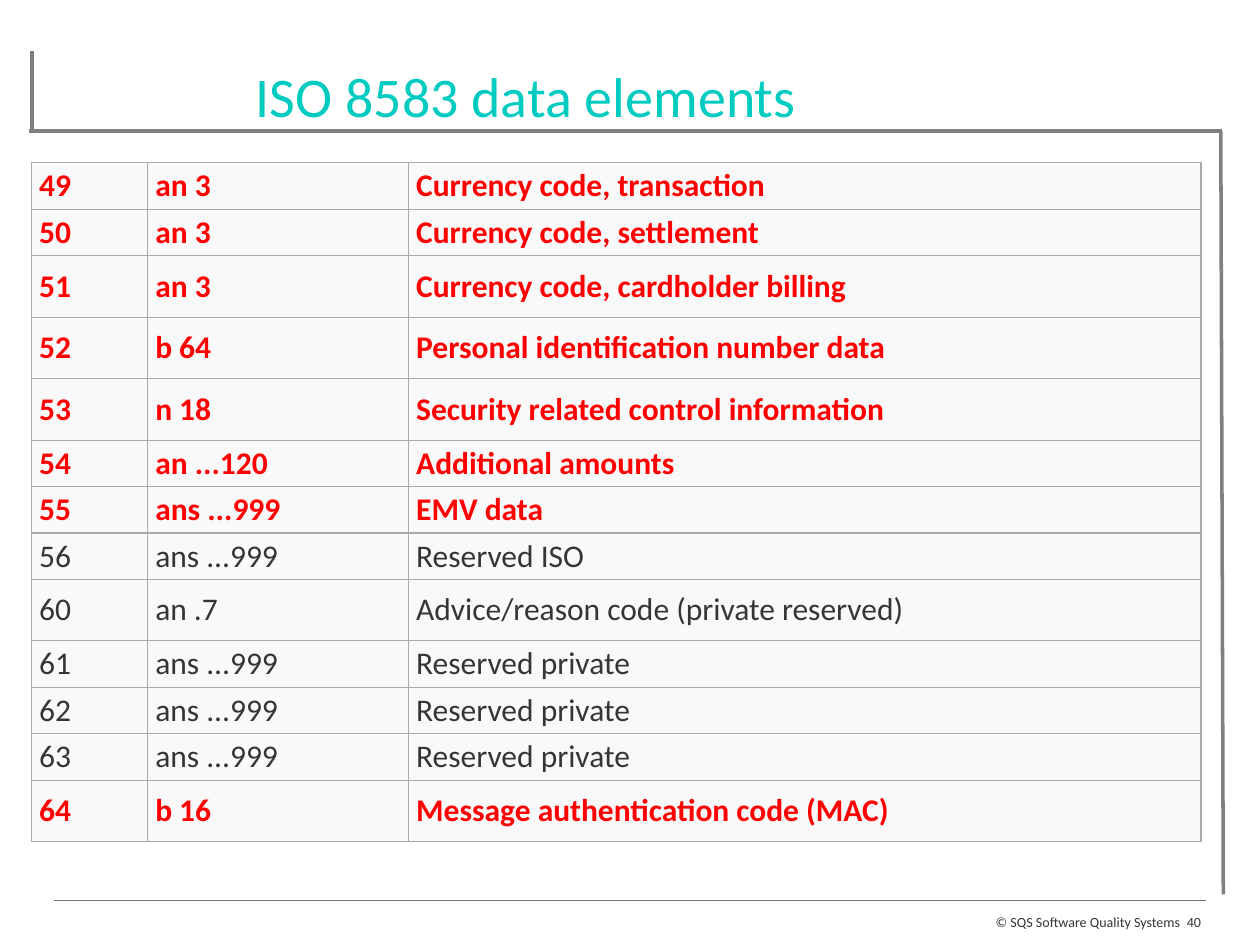
from dataclasses import dataclass

from lxml.etree import SubElement
from pptx import Presentation
from pptx.dml.color import RGBColor
from pptx.enum.shapes import MSO_CONNECTOR
from pptx.enum.text import MSO_ANCHOR, MSO_AUTO_SIZE, PP_ALIGN
from pptx.oxml.ns import qn
from pptx.util import Cm, Pt

COLORS = {
    "title": "00CBC0",
    "used": "FF0000",
    "text": "353535",
    "cell": "F9F9F9",
    "border": "AAAAAA",
    "frame": "808080",
    "rule": "777777",
}
FONT = "Calibri"
LOW_ROW, HIGH_ROW = 0.71, 1.24
COLUMN_WIDTHS = (2.34, 5.26, 15.97)


@dataclass
class DataElement:
    number: str
    format: str
    name: str
    used: bool = True
    height: float = LOW_ROW


@dataclass
class Line:
    start: tuple[float, float]
    end: tuple[float, float]
    color: str
    width: float


@dataclass
class FooterText:
    text: str
    left: float
    width: float
    alignment: PP_ALIGN


DATA_ELEMENTS = [
    DataElement("49", "an 3", "Currency code, transaction"),
    DataElement("50", "an 3", "Currency code, settlement"),
    DataElement("51", "an 3", "Currency code, cardholder billing", height=HIGH_ROW),
    DataElement("52", "b 64", "Personal identification number data", height=HIGH_ROW),
    DataElement("53", "n 18", "Security related control information", height=HIGH_ROW),
    DataElement("54", "an ...120", "Additional amounts"),
    DataElement("55", "ans ...999", "EMV data"),
    DataElement("56", "ans ...999", "Reserved ISO", used=False),
    DataElement("60", "an .7", "Advice/reason code (private reserved)", False, HIGH_ROW),
    DataElement("61", "ans ...999", "Reserved private", used=False),
    DataElement("62", "ans ...999", "Reserved private", used=False),
    DataElement("63", "ans ...999", "Reserved private", used=False),
    DataElement("64", "b 16", "Message authentication code (MAC)", height=HIGH_ROW),
]
FOOTER_RULE = Line((1.09, 18.16), (24.31, 18.16), "rule", 0.75)
FRAME_LINES = [
    Line((0.58, 2.64), (24.64, 2.64), "frame", 2),
    Line((0.64, 2.69), (0.64, 1.02), "frame", 2),
    Line((24.61, 2.64), (24.66, 18.03), "frame", 2),
]
FOOTER_TEXTS = [
    FooterText("© SQS Software Quality Systems", 1.09, 22.71, PP_ALIGN.RIGHT),
    FooterText("40", 23.83, 0.48, PP_ALIGN.CENTER),
]


def format_paragraph(paragraph, size: float, color: str, bold: bool = False) -> None:
    for run in paragraph.runs:
        run.font.name = FONT
        run.font.size = Pt(size)
        run.font.bold = bold
        run.font.color.rgb = RGBColor.from_string(COLORS[color])


def draw_line(shapes, line: Line) -> None:
    points = [Cm(value) for value in (*line.start, *line.end)]
    connector = shapes.add_connector(MSO_CONNECTOR.STRAIGHT, *points)
    connector.line.color.rgb = RGBColor.from_string(COLORS[line.color])
    connector.line.width = Pt(line.width)
    SubElement(connector._element.spPr, qn("a:effectLst"))


def draw_title(slide, text: str) -> None:
    title = slide.shapes.title
    title.left, title.top, title.width, title.height = Cm(0), Cm(0.91), Cm(21.21), Cm(2.01)
    title.text_frame.text = text
    title.text_frame.auto_size = MSO_AUTO_SIZE.NONE
    title.text_frame.vertical_anchor = MSO_ANCHOR.MIDDLE
    paragraph = title.text_frame.paragraphs[0]
    paragraph.alignment = PP_ALIGN.CENTER
    format_paragraph(paragraph, 32, "title")


def fill_cell(cell, text: str, used: bool) -> None:
    cell.text_frame.text = text
    cell.vertical_anchor = MSO_ANCHOR.MIDDLE
    cell.margin_left = cell.margin_right = Cm(0.15)
    cell.margin_top = cell.margin_bottom = Cm(0.08)
    format_paragraph(cell.text_frame.paragraphs[0], 18, "used" if used else "text", used)
    # Borders come before the fill in the cell properties
    properties = cell._tc.get_or_add_tcPr()
    for side in ("a:lnL", "a:lnR", "a:lnT", "a:lnB"):
        border = SubElement(properties, qn(side), w=str(Pt(0.75)))
        fill = SubElement(border, qn("a:solidFill"))
        SubElement(fill, qn("a:srgbClr"), val=COLORS["border"])
    cell.fill.solid()
    cell.fill.fore_color.rgb = RGBColor.from_string(COLORS["cell"])


def draw_table(slide, elements: list[DataElement]) -> None:
    height = sum(element.height for element in elements)
    table = slide.shapes.add_table(
        len(elements), len(COLUMN_WIDTHS),
        Cm(0.64), Cm(3.28), Cm(sum(COLUMN_WIDTHS)), Cm(height),
    ).table
    table.first_row = table.horz_banding = False
    for column, width in zip(table.columns, COLUMN_WIDTHS):
        column.width = Cm(width)
    for row, element in zip(table.rows, elements):
        row.height = Cm(element.height)
        for cell, text in zip(row.cells, (element.number, element.format, element.name)):
            fill_cell(cell, text, element.used)


def draw_footer_text(slide, footer: FooterText) -> None:
    box = slide.shapes.add_textbox(Cm(footer.left), Cm(18.44), Cm(footer.width), Cm(0.37))
    frame = box.text_frame
    frame.word_wrap = True
    frame.margin_left = frame.margin_right = frame.margin_top = frame.margin_bottom = 0
    frame.text = footer.text
    paragraph = frame.paragraphs[0]
    paragraph.alignment = footer.alignment
    paragraph.line_spacing = 0.95
    format_paragraph(paragraph, 8, "text")


def main() -> None:
    presentation = Presentation()
    presentation.slide_width, presentation.slide_height = Cm(25.4), Cm(19.05)
    slide = presentation.slides.add_slide(presentation.slide_layouts[5])

    # Title and the frame around the content
    draw_line(slide.shapes, FOOTER_RULE)
    draw_title(slide, "ISO 8583 data elements")
    frame_group = slide.shapes.add_group_shape()
    for line in FRAME_LINES:
        draw_line(frame_group.shapes, line)

    # Data elements
    draw_table(slide, DATA_ELEMENTS)

    # Footer
    for footer in FOOTER_TEXTS:
        draw_footer_text(slide, footer)

    presentation.save("out.pptx")


if __name__ == "__main__":
    main()
